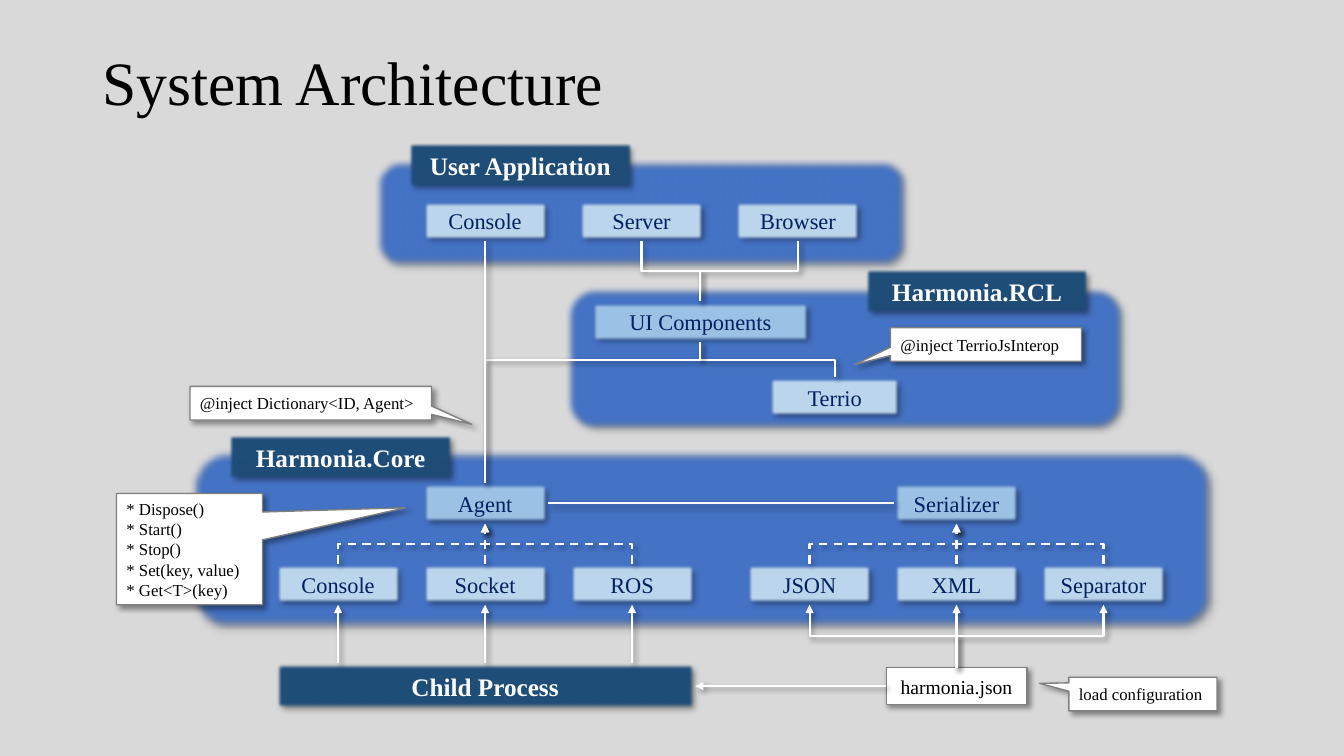
from collections import namedtuple

from lxml import etree
from pptx import Presentation
from pptx.dml.color import RGBColor
from pptx.enum.dml import MSO_LINE
from pptx.enum.shapes import MSO_CONNECTOR as CONNECTOR, MSO_SHAPE as SHAPE
from pptx.enum.text import MSO_ANCHOR as ANCHOR, PP_ALIGN as ALIGN
from pptx.oxml import parse_xml
from pptx.oxml.ns import nsdecls, qn
from pptx.util import Pt

PX = 9525  # EMU per px, at 96 px to the inch
FONT = "Times New Roman"
COLORS = {
    "background": "D9D9D9", "region": "4472C4", "label": "1F4E79",
    "node": "BDD7EE", "base": "9DC3E6", "node_text": "002060",
    "white": "FFFFFF", "black": "000000", "border": "808080",
}
TOP, LEFT, BOTTOM, RIGHT = range(4)
NODE_W, NODE_H = 120, 39
LABEL_W, LABEL_H = 215, 45

Box = namedtuple("Box", "x y w h")


def color(name):
    return RGBColor.from_string(COLORS[name])


def add_effects(item, soft_edge=0):
    """Give a shape or connector the common shadow and optional soft edge, in points."""
    soft = f'<a:softEdge rad="{Pt(soft_edge)}"/>' if soft_edge else ""
    item.element.spPr.append(parse_xml(
        f'<a:effectLst {nsdecls("a")}>'
        '<a:outerShdw blurRad="50800" dist="38100" dir="2700000" algn="tl" rotWithShape="0">'
        '<a:srgbClr val="000000"><a:alpha val="40000"/></a:srgbClr></a:outerShdw>'
        f'{soft}</a:effectLst>'))


def write(frame, text, size, ink, align=ALIGN.LEFT, bold=False):
    frame.word_wrap = True
    frame.vertical_anchor = ANCHOR.MIDDLE
    frame.text = text
    for paragraph in frame.paragraphs:
        paragraph.alignment = align
        for run in paragraph.runs:
            run.font.name = FONT
            run.font.size = Pt(size)
            run.font.bold = bold
            run.font.color.rgb = color(ink)


def block(slide, box, fill, kind=SHAPE.RECTANGLE, border=None, soft_edge=0):
    shape = slide.shapes.add_shape(kind, *(side * PX for side in box))
    shape.fill.solid()
    shape.fill.fore_color.rgb = color(fill)
    if border:
        shape.line.color.rgb = color(border)
        shape.line.width = Pt(1)
    else:
        shape.line.fill.background()
    add_effects(shape, soft_edge)
    return shape


def node(slide, center, top, text, fill="node", width=NODE_W):
    shape = block(slide, Box(center - width // 2, top, width, NODE_H), fill, soft_edge=2.5)
    write(shape.text_frame, text, 16, "node_text", ALIGN.CENTER)
    return shape


def label(slide, x, y, text, width=LABEL_W):
    shape = block(slide, Box(x, y, width, LABEL_H), "label", soft_edge=2.5)
    write(shape.text_frame, text, 18, "white", ALIGN.CENTER, bold=True)
    return shape


def callout(slide, box, text, pointer):
    shape = block(slide, box, "white", SHAPE.RECTANGULAR_CALLOUT, "border")
    shape.adjustments[0], shape.adjustments[1] = pointer
    write(shape.text_frame, text, 12, "black")


def region(slide, box):
    block(slide, box, "region", SHAPE.ROUNDED_RECTANGLE, soft_edge=5)


def style_line(connector, arrow, dashed):
    connector.line.color.rgb = color("white")
    connector.line.width = Pt(1.5)
    if dashed:
        connector.line.dash_style = MSO_LINE.DASH
    if arrow:
        line = connector.element.spPr.find(qn("a:ln"))
        etree.SubElement(line, qn("a:tailEnd"), type="triangle")
    add_effects(connector)


def join(slide, start, start_side, end, end_side, arrow=False, dashed=False, bend=0.5):
    """Join two shapes, with a vertical-first elbow where they are not in line."""
    connector = slide.shapes.add_connector(CONNECTOR.STRAIGHT, 0, 0, 0, 0)
    connector.begin_connect(start, start_side)
    connector.end_connect(end, end_side)
    dx = connector.end_x - connector.begin_x
    dy = connector.end_y - connector.begin_y
    if start_side in (TOP, BOTTOM) and dx:
        bend_vertically(connector, dx, dy, bend)
    style_line(connector, arrow, dashed)


def bend_vertically(connector, dx, dy, bend):
    """Turn the connector's frame by a quarter so that it leaves vertically."""
    middle_x = (connector.begin_x + connector.end_x) // 2
    middle_y = (connector.begin_y + connector.end_y) // 2
    connector.width, connector.height = abs(dy), abs(dx)
    connector.left = middle_x - abs(dy) // 2
    connector.top = middle_y - abs(dx) // 2
    frame = connector.element.spPr.find(qn("a:xfrm"))
    frame.set("rot", str((90 if dy > 0 else 270) * 60000))
    frame.set("flipH", "0")
    frame.set("flipV", "1" if dx * dy > 0 else "0")
    geometry = connector.element.spPr.find(qn("a:prstGeom"))
    geometry.set("prst", "bentConnector3")
    guides = geometry.find(qn("a:avLst"))
    if guides is None:
        guides = etree.SubElement(geometry, qn("a:avLst"))
    etree.SubElement(guides, qn("a:gd"), name="adj1", fmla=f"val {round(bend * 100000)}")


def title(slide, box):
    heading = slide.shapes.add_textbox(*(side * PX for side in box))
    write(heading.text_frame, "System Architecture", 44, "black")
    heading.text_frame.paragraphs[0].line_spacing = 0.9


def user_application(slide, box):
    region(slide, box)
    label(slide, box.x + 31, box.y - 16, "User Application")
    return [node(slide, box.x + 105 + 149 * i, box.y + 40, name)
            for i, name in enumerate(("Console", "Server", "Browser"))]


def component_library(slide, box):
    region(slide, box)
    label(slide, box.x + 285, box.y - 17, "Harmonia.RCL")
    components = node(slide, box.x + 129, box.y + 15, "UI Components", "base", 208)
    terrio = node(slide, box.x + 257, box.y + 87, "Terrio", width=126)
    join(slide, components, BOTTOM, terrio, TOP)
    callout(slide, Box(box.x + 310, box.y + 40, 182, 32),
            "@inject TerrioJsInterop", (-0.686, 0.599))
    return components


def family(slide, center, top, base_name, names):
    """A base class over its three implementations."""
    base = node(slide, center, top, base_name, "base")
    children = [node(slide, center + 140 * (i - 1), top + 77, name)
                for i, name in enumerate(names)]
    for child in children:
        join(slide, child, TOP, base, BOTTOM, arrow=True, dashed=True)
    return base, children


def core(slide, box):
    region(slide, box)
    label(slide, box.x + 36, box.y - 15, "Harmonia.Core")
    agent, agents = family(slide, box.x + 281, box.y + 32, "Agent",
                           ("Console", "Socket", "ROS"))
    serializer, formats = family(slide, box.x + 730, box.y + 32, "Serializer",
                                 ("JSON", "XML", "Separator"))
    join(slide, agent, RIGHT, serializer, LEFT)
    callout(slide, Box(box.x - 70, box.y + 42, 139, 106),
            "* Dispose()\n* Start()\n* Stop()\n* Set(key, value)\v* Get<T>(key)",
            (1.48, -0.372))
    return agent, agents, formats


def runtime(slide, box, agents, formats):
    """The child process and the configuration file that feeds it."""
    process = label(slide, box.x, box.y, "Child Process", 400)
    config = block(slide, Box(box.x + 582, box.y + 5, 134, 35), "white", border="border")
    write(config.text_frame, "harmonia.json", 14, "black", ALIGN.CENTER)
    for serial_format in formats:
        join(slide, config, TOP, serial_format, BOTTOM, arrow=True)
    callout(slide, Box(box.x + 756, box.y + 14, 141, 32),
            "load configuration", (-0.698, -0.318))
    join(slide, config, LEFT, process, RIGHT, arrow=True)
    for agent in agents:
        arrow = slide.shapes.add_connector(
            CONNECTOR.STRAIGHT, agent.left + agent.width // 2, process.top, 0, 0)
        arrow.end_connect(agent, BOTTOM)
        style_line(arrow, arrow=True, dashed=False)


def architecture(slide):
    slide.background.fill.solid()
    slide.background.fill.fore_color.rgb = color("background")
    title(slide, Box(88, 38, 1104, 86))
    console, server, browser = user_application(slide, Box(357, 151, 507, 104))
    agent, agents, formats = core(slide, Box(181, 428, 974, 171))
    components = component_library(slide, Box(538, 272, 534, 139))
    join(slide, components, BOTTOM, agent, TOP, bend=0.124)
    callout(slide, Box(181, 368, 230, 32), "@inject Dictionary<ID, Agent>", (0.667, 0.629))
    join(slide, agent, TOP, console, BOTTOM)
    for client in (server, browser):
        join(slide, client, BOTTOM, components, TOP)
    runtime(slide, Box(262, 631, 897, 46), agents, formats)


def main():
    deck = Presentation()
    deck.slide_width, deck.slide_height = 1280 * PX, 720 * PX
    architecture(deck.slides.add_slide(deck.slide_layouts[6]))
    deck.save("out.pptx")


if __name__ == "__main__":
    main()
